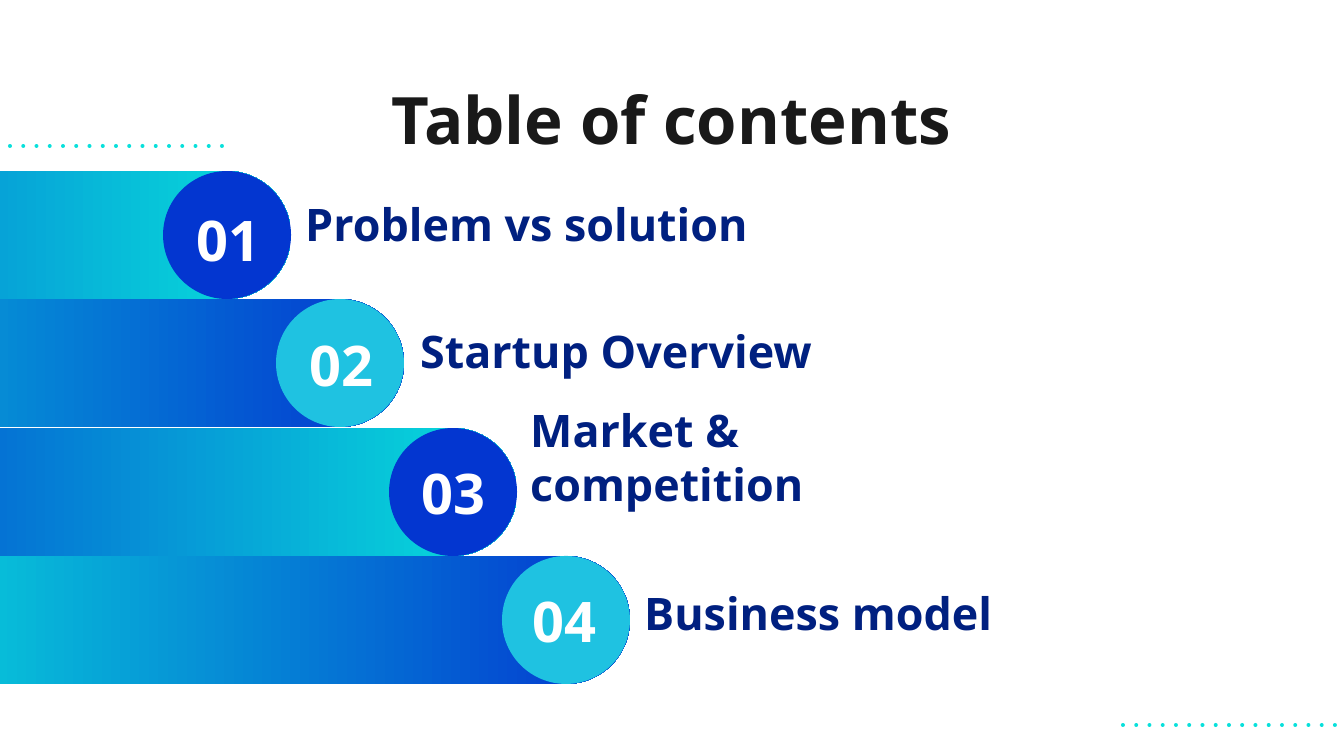
import math

import pptx
import pptx.util
import pptx.dml.color
import pptx.enum.shapes
import pptx.enum.text

PX = 914400 / 134.4
FONT = "Noto Sans"
COLORS = {
    "ink": "191919",
    "heading": "002080",
    "white": "FFFFFF",
    "blue": "0336D0",
    "aqua": "08E0DB",
    "sky": "1FC2E1",
}
SHAPES = pptx.enum.shapes.MSO_SHAPE
ANCHOR = pptx.enum.text.MSO_ANCHOR
ALIGN = pptx.enum.text.PP_ALIGN

TITLE = {"size": 35, "color": "ink", "anchor": ANCHOR.TOP, "align": ALIGN.CENTER}
NUMBER = {"size": 30, "color": "white", "anchor": ANCHOR.MIDDLE, "align": ALIGN.CENTER}
HEADING = {"size": 24, "color": "heading", "anchor": ANCHOR.BOTTOM, "align": ALIGN.LEFT}

SECTIONS = [
    ("Problem vs solution", (292, 206), (166, 206)),
    ("Startup Overview", (407, 333), (279, 331)),
    ("Market & competition", (517, 466), (391, 459)),
    ("Business model", (631, 595), (502, 587)),
]
CIRCLE = 128
BAR_WIDTH = 802
DOT_REACH = 106
DOT_STEP = DOT_REACH / 8
DOT_RADIUS = 2
DOT_CORNERS = 8


def px(length):
    return pptx.util.Emu(round(length * PX))


def rgb(name):
    return pptx.dml.color.RGBColor.from_string(COLORS[name])


def strip_outline(shape):
    shape.shadow.inherit = False
    shape.line.fill.background()


def paint(shape, color):
    strip_outline(shape)
    shape.fill.solid()
    shape.fill.fore_color.rgb = rgb(color)


def add_circle(slide, left, top, color):
    circle = slide.shapes.add_shape(SHAPES.OVAL, px(left), px(top), px(CIRCLE), px(CIRCLE))
    paint(circle, color)


def add_bar(slide, left, top, start, end):
    bar = slide.shapes.add_shape(
        SHAPES.ROUNDED_RECTANGLE, px(left), px(top), px(BAR_WIDTH), px(CIRCLE)
    )
    strip_outline(bar)
    bar.adjustments[0] = 0.5
    bar.fill.gradient()
    bar.fill.gradient_angle = 0
    for stop, color in zip(bar.fill.gradient_stops, (start, end)):
        stop.color.rgb = rgb(color)


def add_label(slide, text, left, top, width, height, style):
    frame = slide.shapes.add_textbox(px(left), px(top), px(width), px(height)).text_frame
    frame_format = {
        "word_wrap": True,
        "vertical_anchor": style["anchor"],
        "margin_left": pptx.util.Inches(0.1),
        "margin_right": pptx.util.Inches(0.1),
        "margin_top": pptx.util.Inches(0.1),
        "margin_bottom": pptx.util.Inches(0.1),
    }
    for name, value in frame_format.items():
        setattr(frame, name, value)
    paragraph = frame.paragraphs[0]
    paragraph.alignment = style["align"]
    run = paragraph.add_run()
    run.text = text
    font_format = {"name": FONT, "size": pptx.util.Pt(style["size"]), "bold": True}
    for name, value in font_format.items():
        setattr(run.font, name, value)
    run.font.color.rgb = rgb(style["color"])


def dot_outline(x, y):
    angles = [2 * math.pi * corner / DOT_CORNERS for corner in range(DOT_CORNERS)]
    return [
        (px(x + DOT_RADIUS * math.cos(angle)), px(y + DOT_RADIUS * math.sin(angle)))
        for angle in angles
    ]


def add_diagonal_dots(slide, center_x, center_y, steps):
    shifts = [step * DOT_STEP / math.sqrt(2) for step in steps]
    first, *others = [dot_outline(center_x + shift, center_y + shift) for shift in shifts]
    builder = slide.shapes.build_freeform(*first[0], scale=1.0)
    builder.add_line_segments(first[1:], close=True)
    for outline in others:
        builder.move_to(*outline[0])
        builder.add_line_segments(outline[1:], close=True)
    dots = builder.convert_to_shape()
    dots.rotation = 315
    paint(dots, "aqua")


def add_dot_row(slide, center_x, center_y):
    add_diagonal_dots(slide, center_x + DOT_REACH, center_y, [0])
    add_diagonal_dots(slide, center_x, center_y, range(-7, 8))
    add_diagonal_dots(slide, center_x - DOT_REACH, center_y, [0])


def add_section(slide, index, heading, heading_at, number_at):
    left = 163 + 113 * index
    top = round(171 + 385 * index / 3)
    start, end, badge = (("blue", "aqua", "blue"), ("aqua", "blue", "sky"))[index % 2]
    add_bar(slide, left + CIRCLE - BAR_WIDTH, top, start, end)
    add_circle(slide, left, top, badge)
    add_label(slide, f"{index + 1:02d}", *number_at, 126, 66, NUMBER)
    add_label(slide, heading, *heading_at, 499, 58, HEADING)


def main():
    deck = pptx.Presentation()
    deck.slide_width = px(1344)
    deck.slide_height = px(756)
    slide = deck.slides.add_slide(deck.slide_layouts[6])
    add_dot_row(slide, 1229, 725)
    add_label(slide, "Table of contents", 105, 66, 1133, 85, TITLE)
    for index, section in enumerate(SECTIONS):
        add_section(slide, index, *section)
    add_dot_row(slide, 116, 146)
    deck.save("out.pptx")


if __name__ == "__main__":
    main()
